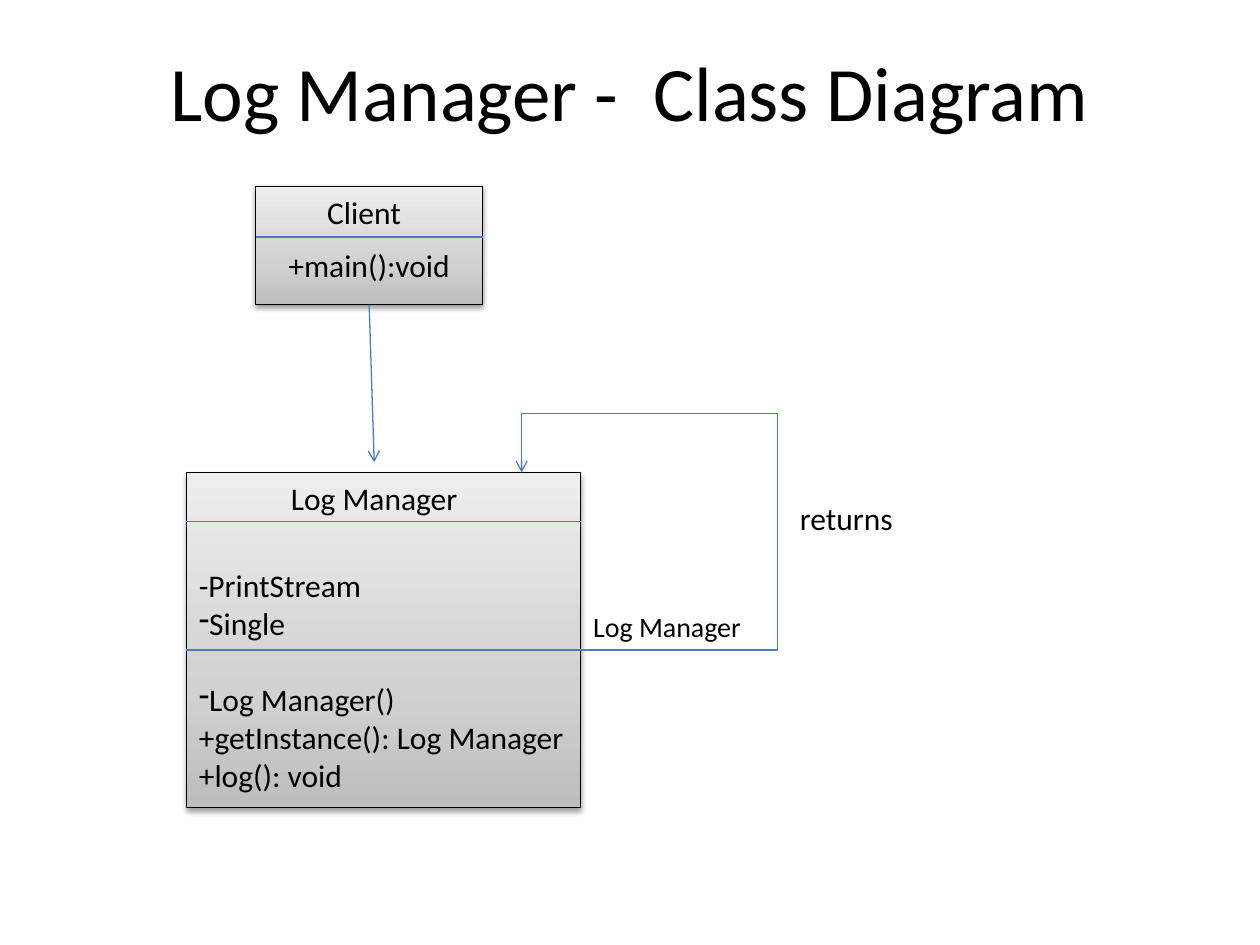
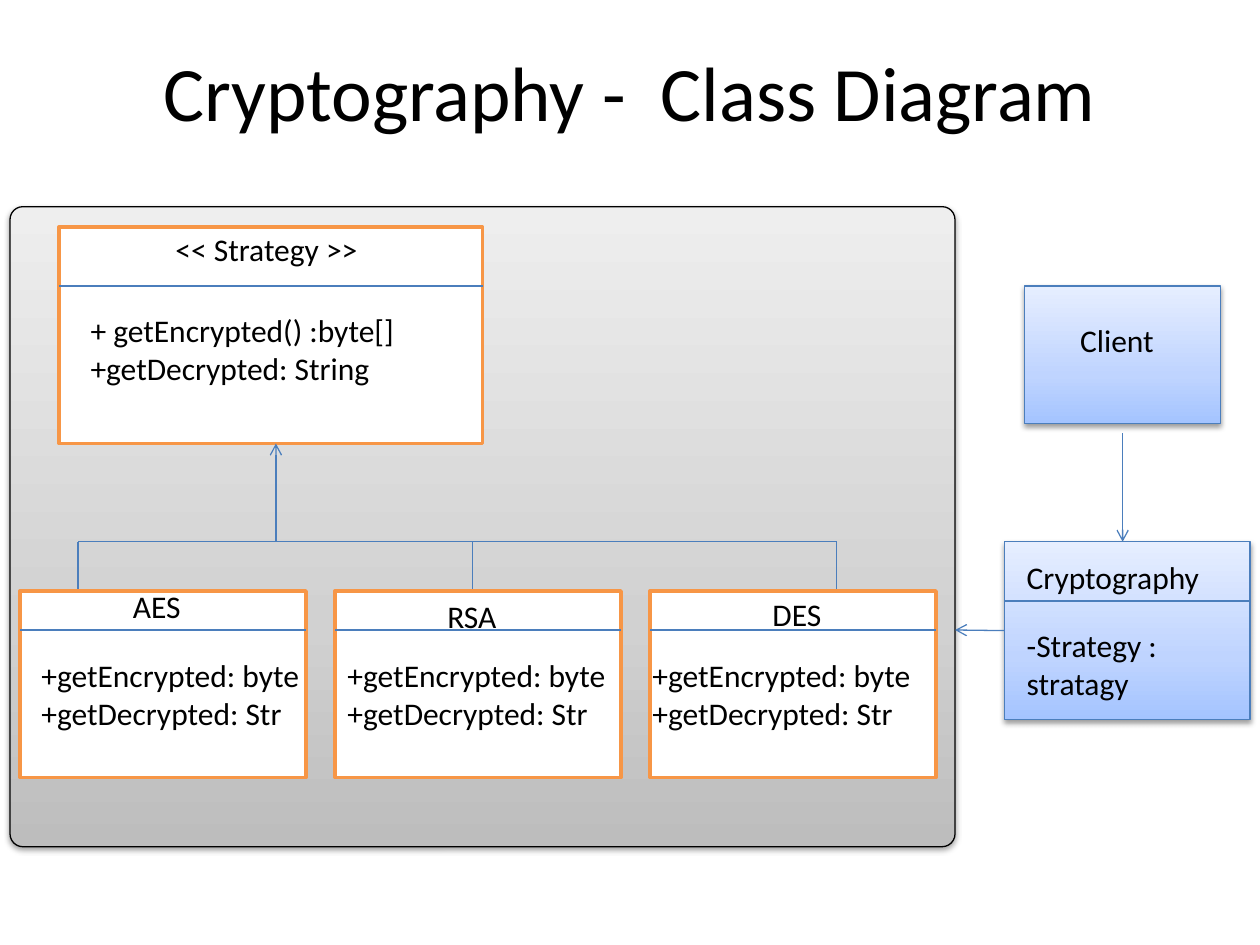
import copy

import lxml.etree
import pptx
import pptx.dml.color
import pptx.enum.dml
import pptx.enum.shapes
import pptx.enum.text
import pptx.oxml.ns
import pptx.util

Inches = pptx.util.Inches
Pt = pptx.util.Pt
qn = pptx.oxml.ns.qn
SHAPES = pptx.enum.shapes.MSO_SHAPE
CONNECTORS = pptx.enum.shapes.MSO_CONNECTOR
ANCHOR = pptx.enum.text.MSO_ANCHOR
LEFT = pptx.enum.text.PP_ALIGN.LEFT
CENTER = pptx.enum.text.PP_ALIGN.CENTER

# Shared look
FONT = "Calibri"
BLACK, WHITE, BLUE, ORANGE = "000000", "FFFFFF", "4B7EBC", "F79646"
GREY_FADE = ((0, "BDBDBD"), (0.35, "D1D1D1"), (1, "EEEEEE"))
BLUE_FADE = ((0, "A4C4FF"), (0.35, "BFD4FF"), (1, "E6EEFF"))


def rgb(hex_string):
    return pptx.dml.color.RGBColor.from_string(hex_string)


def write(frame, text, size=18, align=LEFT):
    frame.text = text
    frame.word_wrap = True
    for paragraph in frame.paragraphs:
        paragraph.alignment = align
        for run in paragraph.runs:
            run.font.name = FONT
            run.font.size = Pt(size)
            run.font.color.rgb = rgb(BLACK)


def add_titled_slide(deck, title):
    slide = deck.slides.add_slide(deck.slide_layouts[5])
    heading = slide.shapes.title
    heading.left, heading.top = Inches(0.75), Inches(0.11)
    heading.width, heading.height = Inches(8.5), Inches(1.22)
    write(heading.text_frame, title, 44, CENTER)
    heading.text_frame.vertical_anchor = ANCHOR.MIDDLE
    return slide


def add_label(slide, text, left, top, width, height=0.4, size=18, align=CENTER):
    label = slide.shapes.add_textbox(
        Inches(left), Inches(top), Inches(width), Inches(height))
    write(label.text_frame, text, size, align)
    label.text_frame.auto_size = pptx.enum.text.MSO_AUTO_SIZE.SHAPE_TO_FIT_TEXT


def add_box(slide, left, top, width, height, outline, weight=0.75,
            kind=SHAPES.RECTANGLE):
    box = slide.shapes.add_shape(
        kind, Inches(left), Inches(top), Inches(width), Inches(height))
    box.shadow.inherit = False
    box.fill.solid()
    box.fill.fore_color.rgb = rgb(WHITE)
    box.line.color.rgb = rgb(outline)
    box.line.width = Pt(weight)
    return box


def add_shaded_box(slide, left, top, width, height, fade, outline,
                   kind=SHAPES.RECTANGLE):
    box = add_box(slide, left, top, width, height, outline, kind=kind)
    # Three-stop gradient running upwards
    box.fill.gradient()
    box.fill.gradient_angle = 90
    stop_list = box.element.spPr.find(qn("a:gradFill")).find(qn("a:gsLst"))
    stop_list.insert(1, copy.deepcopy(stop_list[0]))
    for stop, (position, color) in zip(box.fill.gradient_stops, fade):
        stop.position = position
        stop.color.rgb = rgb(color)
    # Soft shadow below
    effects = box.element.spPr.find(qn("a:effectLst"))
    shadow = lxml.etree.SubElement(
        effects, qn("a:outerShdw"), blurRad="40000", dist="20000",
        dir="5400000", rotWithShape="0")
    tint = lxml.etree.SubElement(shadow, qn("a:srgbClr"), val=BLACK)
    lxml.etree.SubElement(tint, qn("a:alpha"), val="38000")
    return box


def write_members(box, text, bottom_gap, align=LEFT):
    write(box.text_frame, text, align=align)
    box.text_frame.vertical_anchor = ANCHOR.BOTTOM
    box.text_frame.margin_bottom = Inches(bottom_gap)


def add_dash(paragraph):
    properties = paragraph._p.get_or_add_pPr()
    properties.set("marL", "0")
    properties.set("indent", "0")
    lxml.etree.SubElement(properties, qn("a:buFontTx"))
    lxml.etree.SubElement(properties, qn("a:buChar"), char="-")


def add_line(slide, start, end, arrow=False, kind=CONNECTORS.STRAIGHT):
    line = slide.shapes.add_connector(kind, *map(Inches, start + end))
    line.line.color.rgb = rgb(BLUE)
    line.line.width = Pt(0.75)
    properties = line.element.spPr
    if arrow:
        lxml.etree.SubElement(
            properties.find(qn("a:ln")), qn("a:tailEnd"), type="arrow")
    lxml.etree.SubElement(properties, qn("a:effectLst"))
    return line


def add_divider(slide, left, width, y):
    add_line(slide, (left, y), (left + width, y))


def build_log_manager(deck):
    slide = add_titled_slide(deck, "Log Manager -  Class Diagram")

    # Client class
    client = add_shaded_box(slide, 2.03, 1.48, 1.8, 0.94, GREY_FADE, BLACK)
    write_members(client, "+main():void", 0.17, CENTER)
    add_label(slide, "Client", 2.11, 1.48, 1.56)
    add_divider(slide, 2.03, 1.8, 1.88)
    call = add_line(slide, (2.93, 2.42), (2.97, 3.67), arrow=True)
    call.begin_connect(client, 2)

    # Log Manager class
    left, width = 1.48, 3.13
    manager = add_shaded_box(slide, left, 3.75, width, 2.66, GREY_FADE, BLACK)
    write_members(manager, "-PrintStream\nSingle\nLog Manager()\n"
                  "+getInstance(): Log Manager\n+log(): void", 0.11)
    single, constructor = manager.text_frame.paragraphs[1:3]
    constructor.space_before = Pt(22)
    add_dash(single)
    add_dash(constructor)
    add_label(slide, "Log Manager", 2.19, 3.75, 1.56)
    for y in (4.14, 5.16):
        add_divider(slide, left, width, y)

    # Loop returning the instance
    add_line(slide, (4.14, 3.28), (4.14, 3.75), arrow=True)
    add_line(slide, (4.14, 3.28), (6.17, 3.28))
    loop = add_line(slide, (4.61, 5.16), (6.17, 3.28), kind=CONNECTORS.ELBOW)
    geometry = loop.element.spPr.find(qn("a:prstGeom"))
    lxml.etree.SubElement(geometry.find(qn("a:avLst")), qn("a:gd"),
                          name="adj1", fmla="val 100000")
    add_label(slide, "Log Manager", 4.61, 4.79, 1.48, 0.37, 16, LEFT)
    add_label(slide, "returns", 6.25, 3.91, 1.33, align=LEFT)


def build_cryptography(deck):
    slide = add_titled_slide(deck, "Cryptography -  Class Diagram")

    # Panel with the strategy interface
    panel = add_shaded_box(slide, 0.08, 1.64, 7.5, 5.08, GREY_FADE, BLACK,
                           SHAPES.ROUNDED_RECTANGLE)
    panel.adjustments[0] = 0.02
    add_box(slide, 0.47, 1.8, 3.36, 1.72, ORANGE, 2)
    add_label(slide, "<< Strategy >>", 0.55, 1.78, 3.13)
    add_divider(slide, 0.47, 3.36, 2.27)
    add_label(slide, "+ getEncrypted() :byte[]\n+getDecrypted: String",
              0.62, 2.42, 3.05, 0.71, align=LEFT)

    # Inheritance tree
    branch_y, class_top = 4.3, 4.69
    add_line(slide, (2.19, branch_y), (2.19, 3.52), arrow=True)
    add_line(slide, (0.62, branch_y), (6.64, branch_y))
    for x in (0.62, 3.75, 6.64):
        add_line(slide, (x, branch_y), (x, class_top))

    # Ciphers: name, left and top of the name, left of the methods
    ciphers = (("AES", 0.23, 4.61, 0.23),
               ("RSA", 2.73, 4.69, 2.66),
               ("DES", 5.31, 4.67, 5.08))
    for index, (name, name_left, name_top, methods_left) in enumerate(ciphers):
        left = 0.16 + 2.5 * index
        add_box(slide, left, class_top, 2.27, 1.48, ORANGE, 2)
        add_divider(slide, left, 2.27, 5)
        add_label(slide, name, name_left, name_top, 2.03)
        add_label(slide, "+getEncrypted: byte\n+getDecrypted: Str",
                  methods_left, 5.16, 2.27, 0.71, align=LEFT)

    # Client and the Cryptography context
    add_shaded_box(slide, 8.13, 2.27, 1.56, 1.09, BLUE_FADE, BLUE)
    add_label(slide, "Client", 8.2, 2.5, 1.33)
    add_line(slide, (8.91, 3.44), (8.91, 4.3), arrow=True)
    context = add_shaded_box(slide, 7.97, 4.3, 1.95, 1.41, BLUE_FADE, BLUE)
    add_label(slide, "Cryptography", 8.05, 4.38, 1.72, align=LEFT)
    add_divider(slide, 7.97, 1.95, 4.77)
    add_label(slide, "-Strategy : stratagy", 8.05, 4.92, 1.8, 0.71, align=LEFT)
    use = add_line(slide, (7.97, 5), (7.58, 5), arrow=True)
    use.begin_connect(context, 1)


def main():
    deck = pptx.Presentation()
    deck.slide_width, deck.slide_height = Inches(10), Inches(7.5)
    build_log_manager(deck)
    build_cryptography(deck)
    deck.save("out.pptx")


if __name__ == "__main__":
    main()
